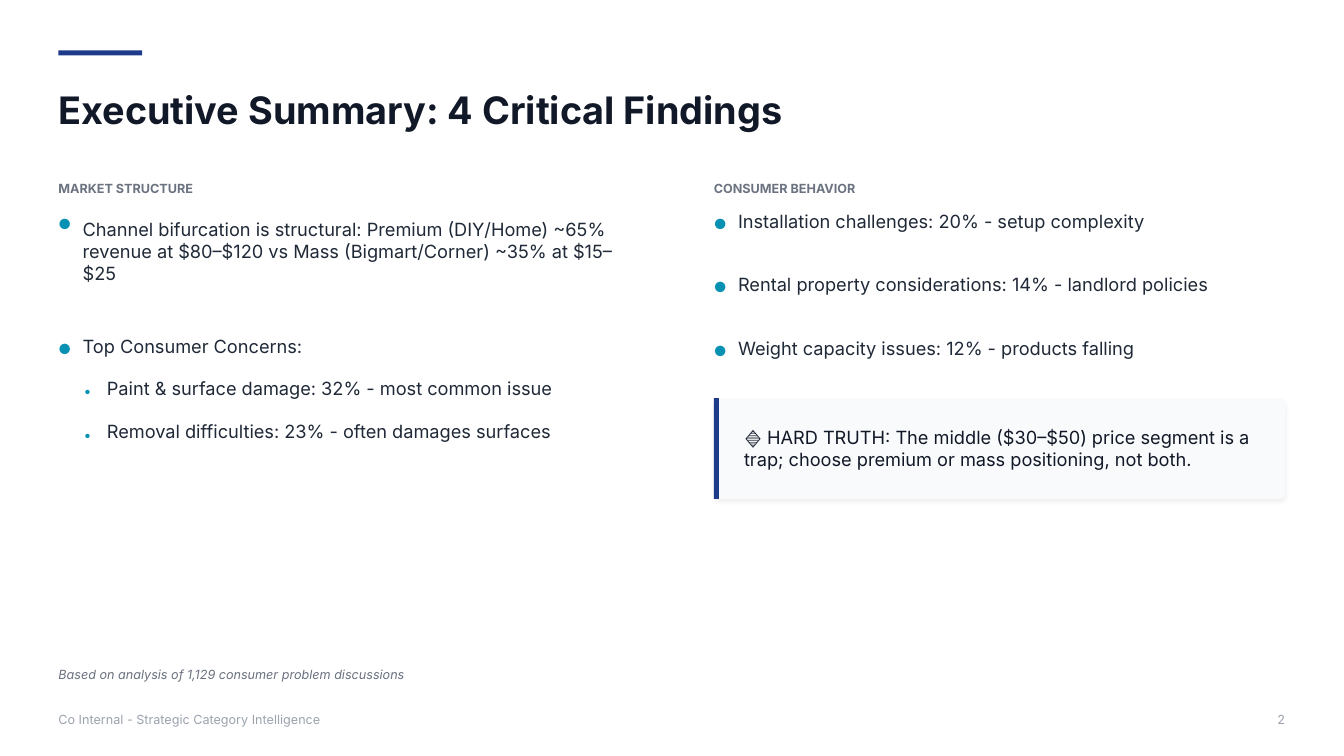
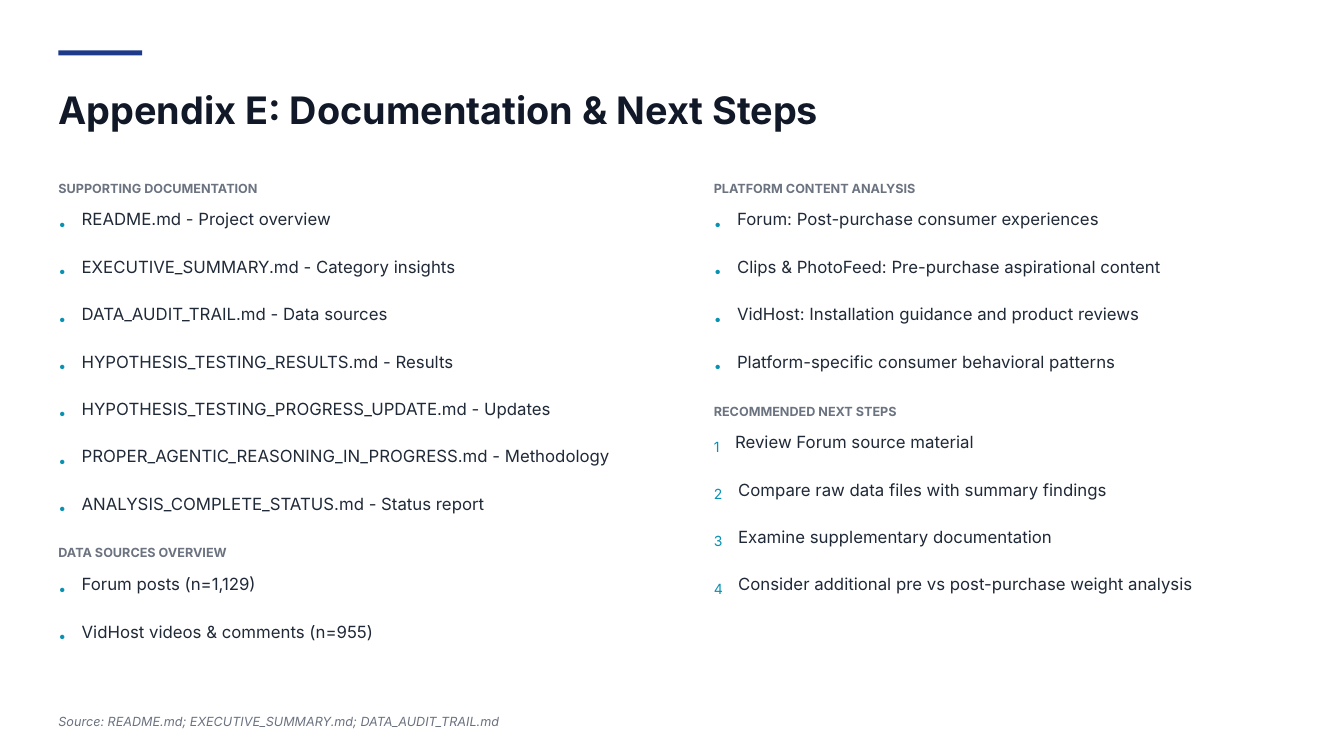
"""Build two research slides: an executive summary and a documentation appendix."""
from lxml import etree
from pptx import Presentation
from pptx.dml.color import RGBColor
from pptx.enum import shapes, text
from pptx.oxml import ns
from pptx.util import Inches, Pt

COLORS = {
    "paper": "FFFFFF",
    "accent": "1E3A8A",
    "title": "111827",
    "body": "1F2937",
    "heading": "6B7280",
    "footer": "9CA3AF",
    "marker": "0891B2",
    "card": "F9FAFB",
}
FONT = "Inter"
SLIDE_WIDTH, SLIDE_HEIGHT = 13.33, 7.5
LEFT, RIGHT = 0.58, 7.08
COLUMN_WIDTH = 5.67
MARKER_INDENTS = {"●": 0.24, "•": 0.23, "1": 0.21}
NUMBER_INDENT = 0.24


def add_text(slide, content, left, top, width, height, size, color, bold=False, italic=False):
    box = slide.shapes.add_textbox(Inches(left), Inches(top), Inches(width), Inches(height))
    frame = box.text_frame
    frame.word_wrap = True
    frame.vertical_anchor = text.MSO_ANCHOR.MIDDLE
    frame.margin_left = frame.margin_right = frame.margin_top = frame.margin_bottom = 0
    paragraph = frame.paragraphs[0]
    paragraph.text = content
    paragraph.font.name = FONT
    paragraph.font.size = Pt(size)
    paragraph.font.bold = bold
    paragraph.font.italic = italic
    paragraph.font.color.rgb = RGBColor.from_string(COLORS[color])


def add_block(slide, kind, left, top, width, height, color):
    shape = slide.shapes.add_shape(kind, Inches(left), Inches(top), Inches(width), Inches(height))
    shape.shadow.inherit = False
    shape.fill.solid()
    shape.fill.fore_color.rgb = RGBColor.from_string(COLORS[color])
    shape.line.fill.background()
    return shape


PAGES = [
    {
        "title": "Executive Summary: 4 Critical Findings",
        "size": 13,
        "line_height": 0.22,
        "marker_drop": 0.05,
        "source": ("Based on analysis of 1,129 consumer problem discussions", 6.61),
        "headings": [
            (LEFT, 1.79, "MARKET STRUCTURE"),
            (RIGHT, 1.79, "CONSUMER BEHAVIOR"),
        ],
        "lists": [
            (LEFT, 2.08, 1.24, "●", [
                "Channel bifurcation is structural: Premium (DIY/Home) ~65% revenue at "
                "$80–$120 vs Mass (Bigmart/Corner) ~35% at $15–$25",
                "Top Consumer Concerns:",
            ]),
            (0.83, 3.74, 0.43, "•", [
                "Paint & surface damage: 32% - most common issue",
                "Removal difficulties: 23% - often damages surfaces",
            ]),
            (RIGHT, 2.08, 0.63, "●", [
                "Installation challenges: 20% - setup complexity",
                "Rental property considerations: 14% - landlord policies",
                "Weight capacity issues: 12% - products falling",
            ]),
        ],
    },
    {
        "title": "Appendix E: Documentation & Next Steps",
        "size": 12,
        "line_height": 0.21,
        "marker_drop": 0.06,
        "source": ("Source: README.md; EXECUTIVE_SUMMARY.md; DATA_AUDIT_TRAIL.md", 7.07),
        "headings": [
            (LEFT, 1.79, "SUPPORTING DOCUMENTATION"),
            (LEFT, 5.4, "DATA SOURCES OVERVIEW"),
            (RIGHT, 1.79, "PLATFORM CONTENT ANALYSIS"),
            (RIGHT, 4, "RECOMMENDED NEXT STEPS"),
        ],
        "lists": [
            (LEFT, 2.07, 0.47, "•", [
                "README.md - Project overview",
                "EXECUTIVE_SUMMARY.md - Category insights",
                "DATA_AUDIT_TRAIL.md - Data sources",
                "HYPOTHESIS_TESTING_RESULTS.md - Results",
                "HYPOTHESIS_TESTING_PROGRESS_UPDATE.md - Updates",
                "PROPER_AGENTIC_REASONING_IN_PROGRESS.md - Methodology",
                "ANALYSIS_COMPLETE_STATUS.md - Status report",
            ]),
            (LEFT, 5.69, 0.47, "•", [
                "Forum posts (n=1,129)",
                "VidHost videos & comments (n=955)",
            ]),
            (RIGHT, 2.07, 0.47, "•", [
                "Forum: Post-purchase consumer experiences",
                "Clips & PhotoFeed: Pre-purchase aspirational content",
                "VidHost: Installation guidance and product reviews",
                "Platform-specific consumer behavioral patterns",
            ]),
            (RIGHT, 4.28, 0.47, "1234", [
                "Review Forum source material",
                "Compare raw data files with summary findings",
                "Examine supplementary documentation",
                "Consider additional pre vs post-purchase weight analysis",
            ]),
        ],
    },
]

presentation = Presentation()
presentation.slide_width = Inches(SLIDE_WIDTH)
presentation.slide_height = Inches(SLIDE_HEIGHT)

for page in PAGES:
    slide = presentation.slides.add_slide(presentation.slide_layouts[6])
    slide.background.fill.solid()
    slide.background.fill.fore_color.rgb = RGBColor.from_string(COLORS["paper"])
    add_block(slide, shapes.MSO_SHAPE.RECTANGLE, 0, 0, SLIDE_WIDTH, SLIDE_HEIGHT, "paper")
    add_block(slide, shapes.MSO_SHAPE.RECTANGLE, LEFT, 0.5, 0.83, 0.05, "accent")
    add_text(slide, page["title"], LEFT, 0.86, 7.8, 0.46, 27, "title", bold=True)

    for left, top, heading in page["headings"]:
        add_text(slide, heading, left, top, 2.3, 0.16, 9, "heading", bold=True)

    for left, first_top, step, markers, items in page["lists"]:
        for index, item in enumerate(items):
            marker = markers[index % len(markers)]
            indent = MARKER_INDENTS.get(marker, NUMBER_INDENT)
            top = first_top + index * step
            height = 0.82 if len(item) > 100 else page["line_height"]
            add_text(slide, marker, left, top + page["marker_drop"], 0.2, 0.18, 10, "marker")
            add_text(slide, item, left + indent, top, 5.52, height, page["size"], "body")

    source, source_top = page["source"]
    add_text(slide, source, LEFT, source_top, 4.9, 0.17, 9, "heading", italic=True)

summary = presentation.slides[0]
card = add_block(summary, shapes.MSO_SHAPE.ROUNDED_RECTANGLE, RIGHT, 3.95, COLUMN_WIDTH, 1, "card")
card.adjustments[0] = 0.06
effects = card._element.spPr.find(ns.qn("a:effectLst"))
shadow = etree.SubElement(effects, ns.qn("a:outerShdw"), blurRad=str(Pt(3)), dist=str(Pt(2)),
                          dir="5400000", algn="ctr", rotWithShape="0")
shadow_color = etree.SubElement(shadow, ns.qn("a:srgbClr"), val="000000")
etree.SubElement(shadow_color, ns.qn("a:alpha"), val="5000")
add_block(summary, shapes.MSO_SHAPE.RECTANGLE, RIGHT, 3.95, 0.05, 1, "accent")
add_text(summary, "🔷 HARD TRUTH: The middle ($30–$50) price segment is a trap; "
         "choose premium or mass positioning, not both.", 7.38, 4.19, 5.17, 0.51, 13, "title")

add_text(summary, "Co Internal - Strategic Category Intelligence", LEFT, 7.05, 3, 0.17, 9, "footer")
add_text(summary, "2", 12.67, 7.05, 0.18, 0.17, 9, "footer")

presentation.save("out.pptx")
